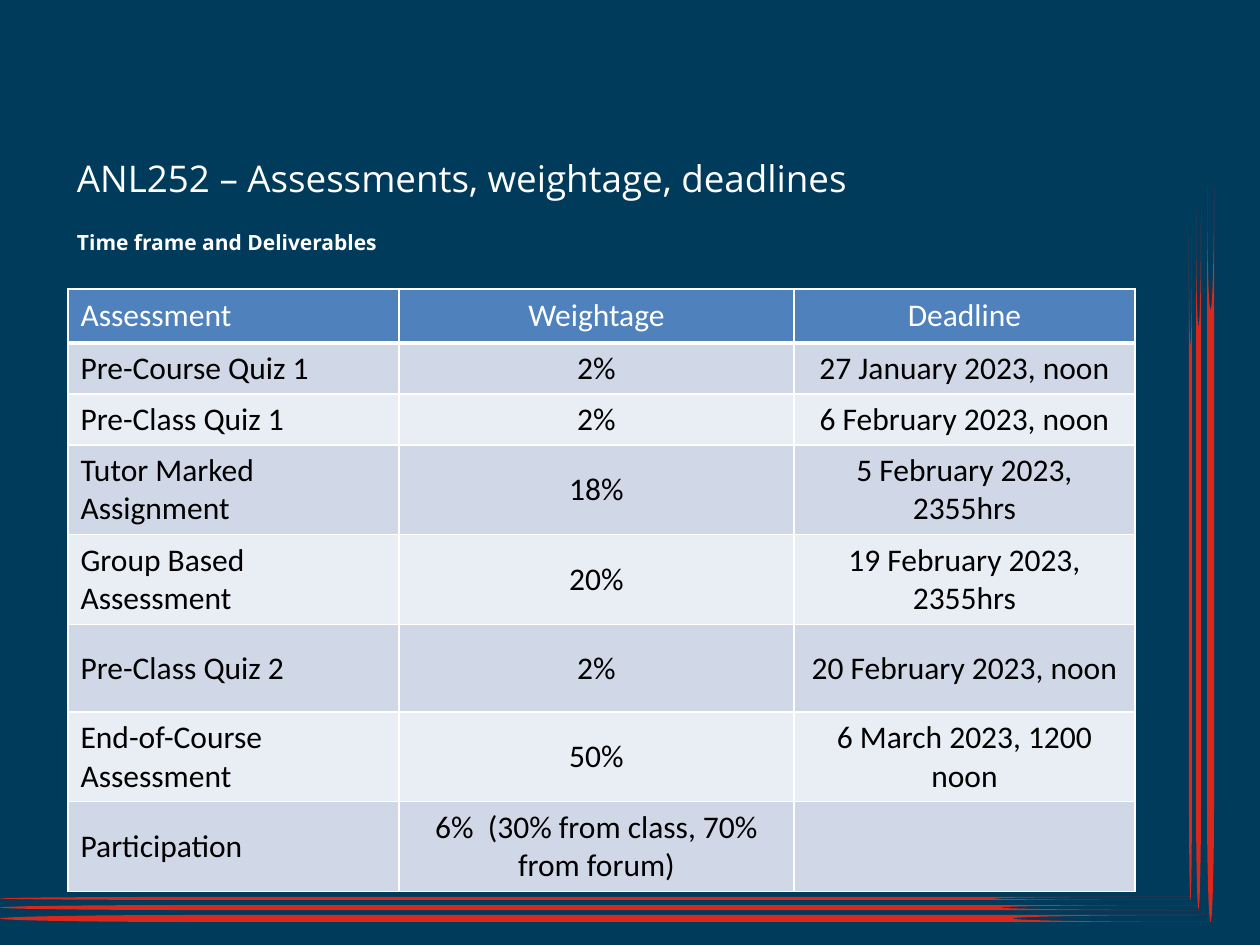
"""Build the ANL252 assessments, weightage and deadlines slide."""
from lxml.etree import SubElement
from pptx import Presentation
from pptx.dml.color import RGBColor
from pptx.enum.shapes import MSO_SHAPE
from pptx.enum.text import MSO_ANCHOR, PP_ALIGN
from pptx.oxml import parse_xml
from pptx.oxml.ns import nsdecls, qn
from pptx.util import Pt

PX = 914400 / 126
COLORS = {
    "navy": "003B5C", "red": "DA291C", "white": "FFFFFF", "black": "000000",
    "header": "4F81BD", "odd": "D0D8E8", "even": "E9EDF4",
}


def px(*values):
    return [round(v * PX) for v in values]


def write(tf, text, size=18, font="Calibri", color="white", bold=False, align=PP_ALIGN.LEFT):
    p = tf.paragraphs[0]
    p.alignment = align
    r = p.add_run()
    r.text = text
    r.font.size, r.font.name, r.font.bold = Pt(size), font, bold
    r.font.color.rgb = RGBColor.from_string(COLORS[color])
    return p


prs = Presentation()
prs.slide_width, prs.slide_height = px(1260, 945)
s = prs.slides.add_slide(prs.slide_layouts[1])
s.background.fill.solid()
s.background.fill.fore_color.rgb = RGBColor.from_string(COLORS["navy"])

bars = [
    (0, 897, 1191, 3, 0), (0, 905, 1201, 5, 0), (0, 915, 1215, 7, 0),
    (858, 566, 665, 3, 270), (849, 557, 699, 5, 270), (843, 551, 735, 7, 270),
]
for x, y, w, h, angle in bars:
    sp = s.shapes.add_shape(MSO_SHAPE.FLOWCHART_STORED_DATA, *px(x, y, w, h))
    sp.rotation = angle
    sp.shadow.inherit = False
    sp.fill.solid()
    sp.fill.fore_color.rgb = RGBColor.from_string(COLORS["red"])
    sp.line.fill.background()

title, body = s.shapes.title, s.placeholders[1]
frames = [
    (title, (68, 146, 856, 63), MSO_ANCHOR.MIDDLE),
    (body, (68, 224, 780, 32), MSO_ANCHOR.TOP),
]
for sp, box, anchor in frames:
    sp.left, sp.top, sp.width, sp.height = px(*box)
    tf = sp.text_frame
    tf.word_wrap, tf.vertical_anchor = True, anchor
    tf.margin_left, tf.margin_right, tf.margin_top, tf.margin_bottom = px(9, 9, 5, 5)
write(title.text_frame, "ANL252 – Assessments, weightage, deadlines", 21, "Open Sans")
p = write(body.text_frame, "Time frame and Deliverables", 12, "Open Sans", bold=True)
pPr = p._p.get_or_add_pPr()
pPr.set("marL", "0")
pPr.set("indent", "0")
SubElement(pPr, qn("a:buNone"))

rows = [
    ("Assessment", "Weightage", "Deadline"),
    ("Pre-Course Quiz 1", "2%", "27 January 2023, noon"),
    ("Pre-Class Quiz 1", "2%", "6 February 2023, noon"),
    ("Tutor Marked Assignment", "18%", "5 February 2023, 2355hrs"),
    ("Group Based Assessment", "20%", "19 February 2023, 2355hrs"),
    ("Pre-Class Quiz 2", "2%", "20 February 2023, noon"),
    ("End-of-Course Assessment", "50%", "6 March 2023, 1200 noon"),
    ("Participation", "6%  (30% from class, 70% from forum)", ""),
]
widths = px(331, 395, 341)
heights = px(54, 51, 51, 51, 88, 88, 88, 51)
table = s.shapes.add_table(len(rows), len(widths), *px(68, 289), sum(widths), sum(heights)).table
for col, width in zip(table.columns, widths):
    col.width = width
for i, (row, height) in enumerate(zip(rows, heights)):
    table.rows[i].height = height
    fill = "header" if i == 0 else "odd" if i % 2 else "even"
    for j, text in enumerate(row):
        cell = table.cell(i, j)
        cell.vertical_anchor = MSO_ANCHOR.MIDDLE
        cell.fill.solid()
        cell.fill.fore_color.rgb = RGBColor.from_string(COLORS[fill])
        tcPr = cell._tc.get_or_add_tcPr()
        for k, side in enumerate(("lnL", "lnR", "lnT", "lnB")):
            weight = Pt(3 if i == 0 and side == "lnB" else 1)
            tcPr.insert(k, parse_xml(
                f'<a:{side} {nsdecls("a")} w="{weight}"><a:solidFill>'
                f'<a:srgbClr val="{COLORS["white"]}"/></a:solidFill></a:{side}>'))
        if text:
            write(cell.text_frame, text, color="black" if i else "white",
                  align=PP_ALIGN.CENTER if j else PP_ALIGN.LEFT)

prs.save("out.pptx")
